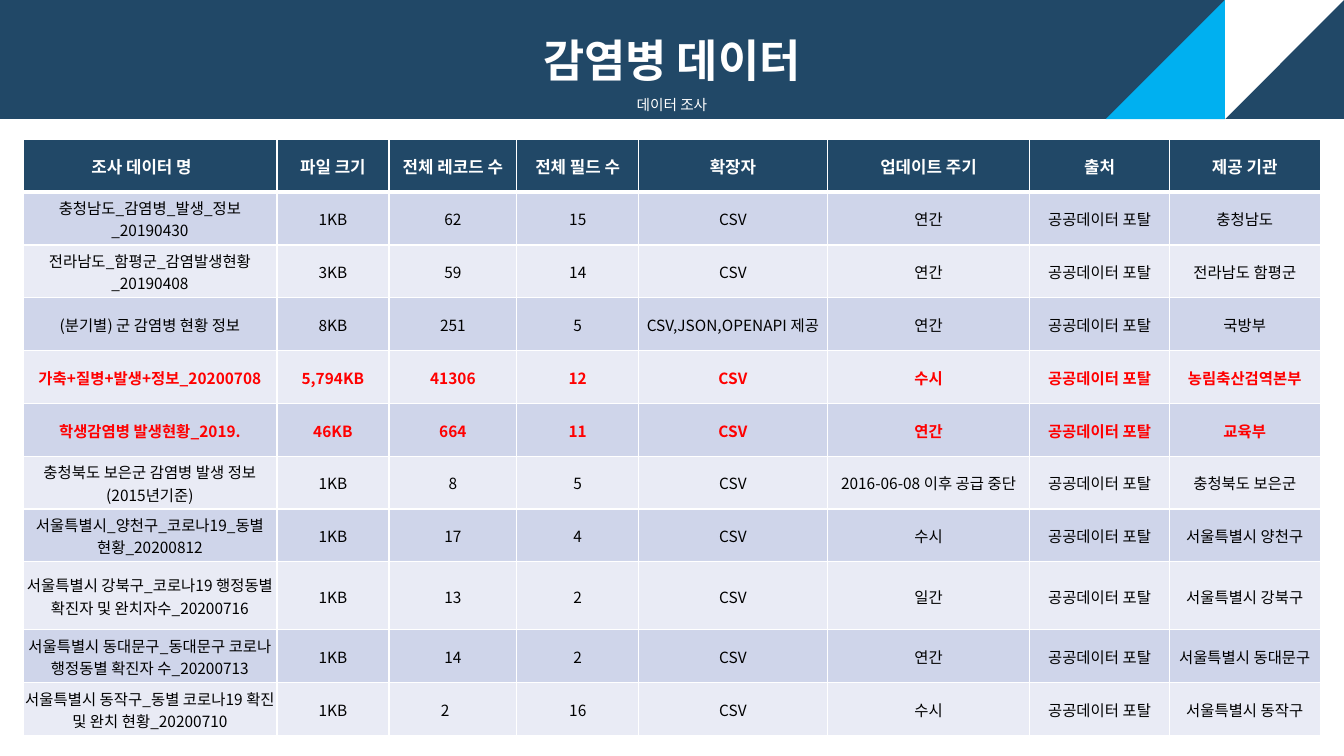
from lxml.etree import SubElement
from pptx import Presentation
from pptx.dml.color import RGBColor
from pptx.enum.shapes import MSO_SHAPE as Preset
from pptx.enum.text import MSO_ANCHOR as Anchor, PP_ALIGN as Align
from pptx.oxml import parse_xml
from pptx.oxml.ns import nsdecls, qn
from pptx.util import Pt

NAVY, CYAN, WHITE, BLACK, RED = "214867", "00B0F0", "FFFFFF", "000000", "FF0000"
BANDS = ("CFD5EA", "E9EBF5")
SLIDE_WIDTH, SLIDE_HEIGHT, BANNER_HEIGHT = 960, 540, 85

HEADINGS = ("조사 데이터 명　", "파일 크기", "전체 레코드 수", "전체 필드 수",
            "확장자", "업데이트 주기", "출처", "제공 기관")
COLUMN_WIDTHS = (181.4, 80, 91.4, 87, 134.7, 144.8, 99.5, 108)
ROW_HEIGHT = 37.75
PORTAL = "공공데이터 포탈"
# Name, size, records, fields, format, update cycle, provider
DATASETS = (
    ("충청남도_감염병_발생_정보_20190430", "1KB", "62", "15", "CSV", "연간", "충청남도"),
    ("전라남도_함평군_감염발생현황_20190408", "3KB", "59", "14", "CSV", "연간", "전라남도 함평군"),
    ("(분기별) 군 감염병 현황 정보", "8KB", "251", "5", "CSV,JSON,OPENAPI 제공", "연간", "국방부"),
    ("가축+질병+발생+정보_20200708", "5,794KB", "41306", "12", "CSV", "수시", "농림축산검역본부"),
    ("학생감염병 발생현황_2019.", "46KB", "664", "11", "CSV", "연간", "교육부"),
    ("충청북도 보은군 감염병 발생 정보(2015년기준)", "1KB", "8", "5", "CSV",
     "2016-06-08 이후 공급 중단", "충청북도 보은군"),
    ("서울특별시_양천구_코로나19_동별 현황_20200812", "1KB", "17", "4", "CSV", "수시",
     "서울특별시 양천구"),
    ("서울특별시 강북구_코로나19 행정동별 확진자 및 완치자수_20200716", "1KB", "13", "2", "CSV",
     "일간", "서울특별시 강북구"),
    ("서울특별시 동대문구_동대문구 코로나 행정동별 확진자 수_20200713", "1KB", "14", "2", "CSV",
     "연간", "서울특별시 동대문구"),
    ("서울특별시 동작구_동별 코로나19 확진 및 완치 현황_20200710", "1KB", "2　", "16", "CSV",
     "수시", "서울특별시 동작구"),
)
HIGHLIGHTED_PROVIDERS = ("농림축산검역본부", "교육부")


def rgb(hex_color):
    return RGBColor.from_string(hex_color)


class SlideBuilder:
    font_name = "Noto Sans CJK KR"
    cell_inset = 0.7

    def __init__(self, slide):
        self.slide = slide

    def format_paragraph(self, paragraph, size, color, bold):
        paragraph.alignment = Align.CENTER
        for run in paragraph.runs:
            font = run.font
            font.size, font.bold, font.name = Pt(size), bold, self.font_name
            font.color.rgb = rgb(color)
            SubElement(run._r.rPr, qn("a:ea"), typeface=self.font_name)

    def shape(self, shapes, preset, left, top, width, height, color, rotation=0):
        shape = shapes.add_shape(preset, Pt(left), Pt(top), Pt(width), Pt(height))
        shape.shadow.inherit = False
        shape.fill.solid()
        shape.fill.fore_color.rgb = rgb(color)
        shape.line.fill.background()
        shape.rotation = rotation
        return shape

    def banner(self, title, subtitle):
        banner = self.shape(self.slide.shapes, Preset.RECTANGLE,
                            0, 0, SLIDE_WIDTH, BANNER_HEIGHT, NAVY)
        frame = banner.text_frame
        frame.text = f"{title}\n{subtitle}"
        frame.vertical_anchor = Anchor.MIDDLE
        for paragraph, size, bold in zip(frame.paragraphs, (32, 10.5), (True, False)):
            paragraph.line_spacing = 1.5
            self.format_paragraph(paragraph, size, WHITE, bold)

    def corner_triangles(self):
        corner = self.slide.shapes.add_group_shape()
        side = BANNER_HEIGHT
        for place, (color, rotation) in enumerate(((WHITE, 90), (CYAN, 270)), 1):
            self.shape(corner.shapes, Preset.RIGHT_TRIANGLE,
                       SLIDE_WIDTH - place * side, 0, side, side, color, rotation)

    def cell_borders(self, cell, top, bottom):
        properties = cell._tc.get_or_add_tcPr()
        widths = {"lnL": 1, "lnR": 1, "lnT": top, "lnB": bottom}
        for position, (edge, width) in enumerate(widths.items()):
            properties.insert(position, parse_xml(
                f'<a:{edge} {nsdecls("a")} w="{Pt(width)}"><a:solidFill>'
                f'<a:srgbClr val="{WHITE}"/></a:solidFill></a:{edge}>'))

    def cell(self, cell, text, fill, size, color, bold):
        cell.text_frame.text = text
        cell.vertical_anchor = Anchor.MIDDLE
        cell.margin_left = cell.margin_right = cell.margin_top = Pt(self.cell_inset)
        cell.margin_bottom = 0
        cell.fill.solid()
        cell.fill.fore_color.rgb = rgb(fill)
        self.format_paragraph(cell.text_frame.paragraphs[0], size, color, bold)

    def dataset_table(self, left, top):
        row_count = len(DATASETS) + 1
        table = self.slide.shapes.add_table(
            row_count, len(HEADINGS), Pt(left), Pt(top),
            Pt(sum(COLUMN_WIDTHS)), Pt(ROW_HEIGHT * row_count)).table
        for column, width in zip(table.columns, COLUMN_WIDTHS):
            column.width = Pt(width)
        for row in table.rows:
            row.height = Pt(ROW_HEIGHT)
        for column, heading in enumerate(HEADINGS):
            cell = table.cell(0, column)
            self.cell(cell, heading, NAVY, 12, WHITE, True)
            self.cell_borders(cell, top=1, bottom=3)
        for row, (*details, provider) in enumerate(DATASETS, 1):
            highlighted = provider in HIGHLIGHTED_PROVIDERS
            color = RED if highlighted else BLACK
            for column, text in enumerate((*details, PORTAL, provider)):
                cell = table.cell(row, column)
                self.cell(cell, text, BANDS[(row - 1) % 2], 11, color, highlighted)
                self.cell_borders(cell, top=3 if row == 1 else 1, bottom=1)


def main():
    presentation = Presentation()
    presentation.slide_width, presentation.slide_height = Pt(SLIDE_WIDTH), Pt(SLIDE_HEIGHT)
    builder = SlideBuilder(presentation.slides.add_slide(presentation.slide_layouts[6]))
    builder.banner("감염병 데이터", "데이터 조사")
    builder.corner_triangles()
    builder.dataset_table(left=16.4, top=99.5)
    presentation.save("out.pptx")


if __name__ == "__main__":
    main()
